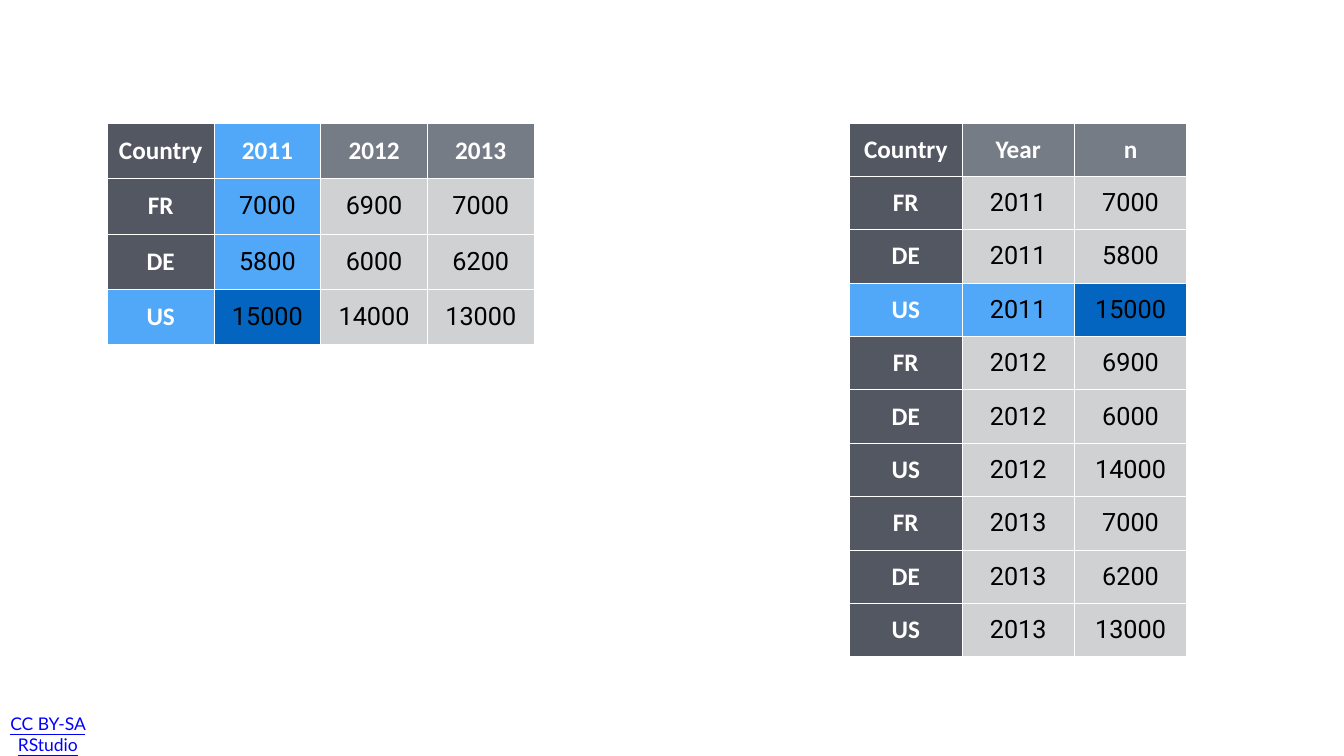
from dataclasses import dataclass

from lxml import etree
from pptx import Presentation
from pptx.dml.color import RGBColor
from pptx.enum.text import MSO_ANCHOR, PP_ALIGN
from pptx.oxml.ns import qn
from pptx.util import Inches, Pt

CENTER = PP_ALIGN.CENTER
MIDDLE = MSO_ANCHOR.MIDDLE


@dataclass(frozen=True)
class Theme:
    white: str = "FFFFFF"
    black: str = "000000"
    link: str = "0000FF"
    header: str = "767C85"
    country: str = "535761"
    body: str = "D0D1D2"
    highlight: str = "51A8F9"
    focus: str = "0365C0"
    heading_font: str = "Calibri"
    value_font: str = "Roboto"
    license_font: str = "Lato"
    table_size: int = 36
    license_size: int = 25
    border_width: int = 1
    cell_margin: float = 0.06


@dataclass(frozen=True)
class DataTable:
    rows: list[list[str]]
    left: float
    top: float
    width: float
    height: float
    highlighted: set[tuple[int, int]]
    focus: tuple[int, int]


THEME = Theme()

# Country counts, wide: one column per year
WIDE_ROWS = [
    ["Country", "2011", "2012", "2013"],
    ["FR", "7000", "6900", "7000"],
    ["DE", "5800", "6000", "6200"],
    ["US", "15000", "14000", "13000"],
]

# The same counts, long: one row per country and year
LONG_ROWS = [["Country", "Year", "n"]] + [
    [row[0], year, row[column]]
    for column, year in enumerate(WIDE_ROWS[0][1:], start=1)
    for row in WIDE_ROWS[1:]
]

TABLES = [
    DataTable(WIDE_ROWS, 2.13, 2.44, 8.47, 4.4,
              highlighted={(0, 1), (1, 1), (2, 1), (3, 0)}, focus=(3, 1)),
    DataTable(LONG_ROWS, 16.86, 2.44, 6.69, 10.59,
              highlighted={(3, 0), (3, 1)}, focus=(3, 2)),
]


def write_text(text_frame, text: str, *, font: str, size: int, color: str,
               bold: bool = False, underline: bool = False) -> None:
    paragraph = text_frame.paragraphs[0]
    paragraph.alignment = CENTER
    run = paragraph.add_run()
    run.text = text
    run.font.name = font
    run.font.size = Pt(size)
    run.font.bold = bold
    run.font.underline = underline
    run.font.color.rgb = RGBColor.from_string(color)


def set_borders(cell, color: str, width: int) -> None:
    properties = cell._tc.get_or_add_tcPr()
    for index, side in enumerate(("a:lnL", "a:lnR", "a:lnT", "a:lnB")):
        line = etree.Element(qn(side), w=str(Pt(width)))
        fill = etree.SubElement(line, qn("a:solidFill"))
        etree.SubElement(fill, qn("a:srgbClr"), val=color)
        properties.insert(index, line)


def cell_fill(data: DataTable, row: int, column: int) -> str:
    if (row, column) == data.focus:
        return THEME.focus
    if (row, column) in data.highlighted:
        return THEME.highlight
    if column == 0:
        return THEME.country
    return THEME.header if row == 0 else THEME.body


def draw_table(slide, data: DataTable) -> None:
    row_count, column_count = len(data.rows), len(data.rows[0])
    table = slide.shapes.add_table(
        row_count, column_count, Inches(data.left), Inches(data.top),
        Inches(data.width), Inches(data.height)).table
    for row, values in enumerate(data.rows):
        for column, value in enumerate(values):
            cell = table.cell(row, column)
            cell.vertical_anchor = MIDDLE
            cell.margin_left = cell.margin_right = Inches(THEME.cell_margin)
            cell.margin_top = cell.margin_bottom = Inches(THEME.cell_margin)
            cell.fill.solid()
            cell.fill.fore_color.rgb = RGBColor.from_string(
                cell_fill(data, row, column))
            set_borders(cell, THEME.white, THEME.border_width)
            heading = row == 0 or column == 0
            write_text(cell.text_frame, value,
                       font=THEME.heading_font if heading else THEME.value_font,
                       size=THEME.table_size,
                       color=THEME.white if heading else THEME.black,
                       bold=heading)


def draw_license(slide) -> None:
    shape = slide.shapes.add_textbox(
        Inches(0.12), Inches(14.26), Inches(2.66), Inches(0.6))
    frame = shape.text_frame
    frame.word_wrap = True
    frame.vertical_anchor = MIDDLE
    frame.margin_left = 0
    frame.margin_right = Inches(1)  # wraps the line after the license name
    frame.margin_top = frame.margin_bottom = Inches(0.08)
    write_text(frame, "CC BY-SA RStudio", font=THEME.license_font,
               size=THEME.license_size, color=THEME.link, underline=True)


def main() -> None:
    presentation = Presentation()
    presentation.slide_width = Inches(26.67)
    presentation.slide_height = Inches(15)
    slide = presentation.slides.add_slide(presentation.slide_layouts[6])
    draw_license(slide)
    for data in TABLES:
        draw_table(slide, data)
    presentation.save("out.pptx")


if __name__ == "__main__":
    main()
